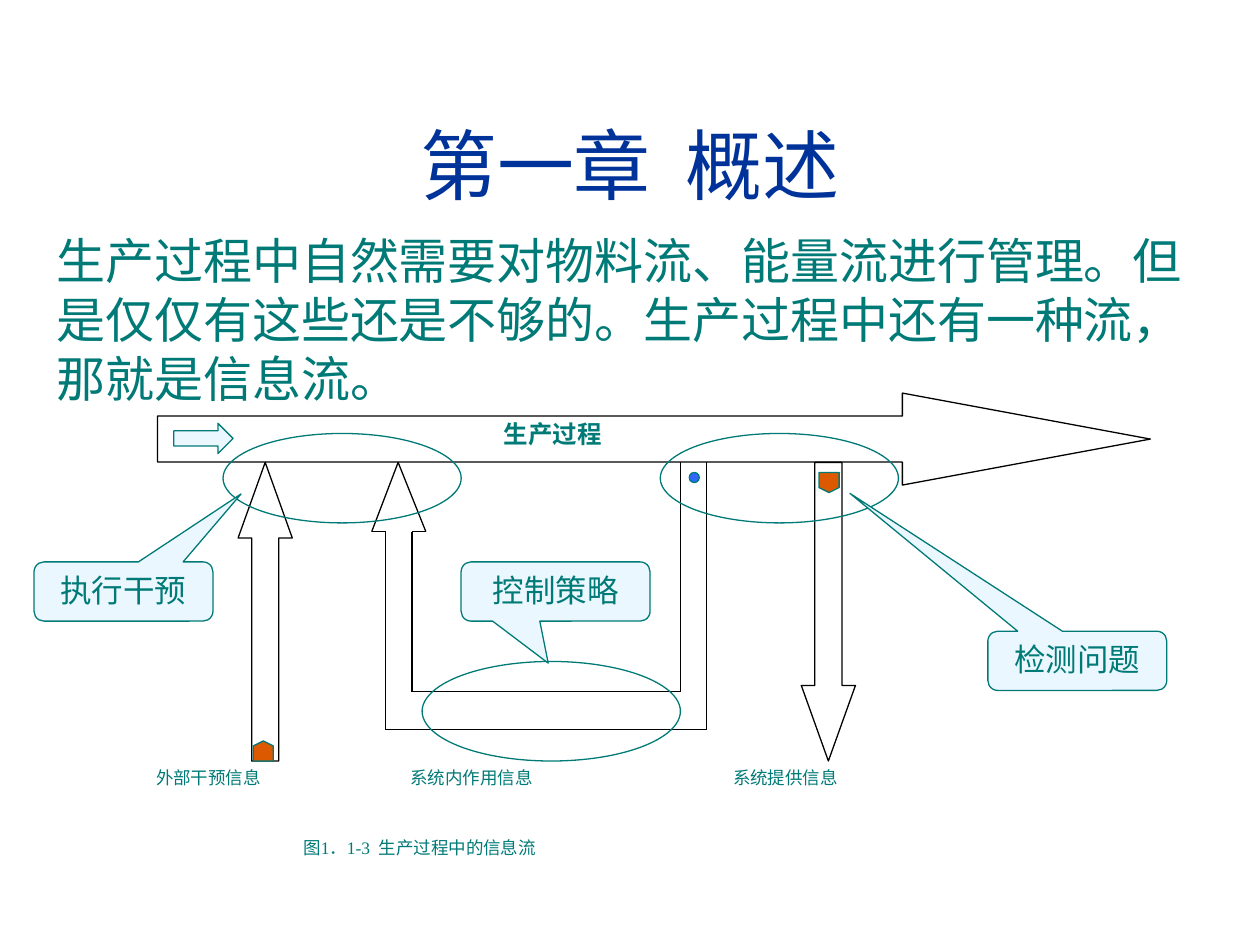
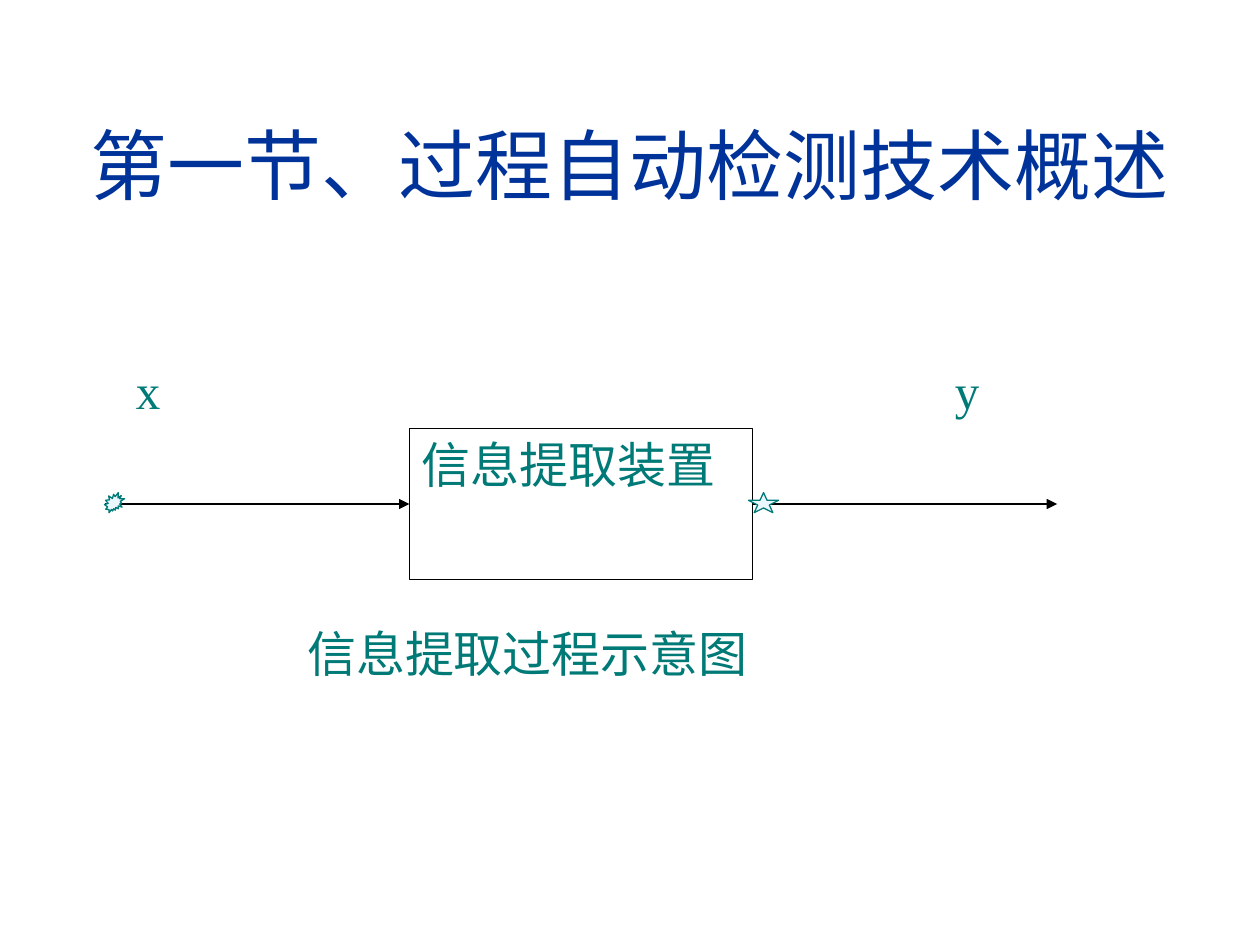
from dataclasses import dataclass
from itertools import pairwise

from lxml import etree
from pptx import Presentation
from pptx.dml.color import RGBColor
from pptx.enum import shapes, text
from pptx.oxml import ns
from pptx.util import Inches, Pt

KIND = shapes.MSO_SHAPE
ALIGN = text.PP_ALIGN
ANCHOR = text.MSO_ANCHOR


@dataclass(frozen=True)
class Theme:
    navy: str = "003399"
    teal: str = "007A77"
    pale: str = "EBF7FF"
    orange: str = "DC5900"
    blue: str = "3366FF"
    black: str = "000000"
    white: str = "FFFFFF"
    heading_font: str = "Arial"
    diagram_font: str = "Times New Roman"
    title: int = 44
    body: int = 28
    callout: int = 18
    flow: int = 14
    label: int = 10
    line: float = 0.75


THEME = Theme()


# Text
def write(shape, words, size, font=THEME.diagram_font, color=THEME.teal,
          align=ALIGN.JUSTIFY, anchor=ANCHOR.TOP, bold=False):
    frame = shape.text_frame
    frame_format = {
        "word_wrap": True, "vertical_anchor": anchor,
        "margin_left": Inches(0.1), "margin_right": Inches(0.1),
        "margin_top": Inches(0.05), "margin_bottom": Inches(0.05),
    }
    for name, value in frame_format.items():
        setattr(frame, name, value)
    para = frame.paragraphs[0]
    para.alignment = align
    span = para.add_run()
    span.text = words
    for name, value in {"name": font, "size": Pt(size), "bold": bold}.items():
        setattr(span.font, name, value)
    span.font.color.rgb = RGBColor.from_string(color)


def add_text(page, place, words, size, **style):
    box = page.shapes.add_textbox(*map(Inches, place))
    write(box, words, size, **style)


def add_title(page, words):
    add_text(page, (0.33, 0.67, 9.34, 1.25), words, THEME.title,
             font=THEME.heading_font, color=THEME.navy,
             align=ALIGN.CENTER, anchor=ANCHOR.MIDDLE)


# Shapes and lines
def add_figure(page, kind, place, fill=None, line=THEME.teal,
               adjust=(), rotation=0):
    shape = page.shapes.add_shape(kind, *map(Inches, place))
    shape.shadow.inherit = False
    shape.rotation = rotation
    for index, value in enumerate(adjust):
        shape.adjustments[index] = value
    if fill:
        shape.fill.solid()
        shape.fill.fore_color.rgb = RGBColor.from_string(fill)
    else:
        shape.fill.background()
    shape.line.color.rgb = RGBColor.from_string(line)
    shape.line.width = Pt(THEME.line)
    return shape


def add_line(page, start, end, arrow=False):
    line = page.shapes.add_connector(
        shapes.MSO_CONNECTOR.STRAIGHT, *map(Inches, (*start, *end)))
    line.line.color.rgb = RGBColor.from_string(THEME.black)
    line.line.width = Pt(THEME.line)
    if arrow:
        etree.SubElement(line.line._get_or_add_ln(), ns.qn("a:tailEnd"),
                         type="triangle")
    etree.SubElement(line._element.spPr, ns.qn("a:effectLst"))
    return line


def add_callout(page, ellipse, place, pointer, words):
    add_figure(page, KIND.OVAL, ellipse)
    callout = add_figure(page, KIND.ROUNDED_RECTANGULAR_CALLOUT, place,
                         fill=THEME.pale, adjust=(*pointer, 0.167))
    write(callout, words, THEME.callout, font=THEME.heading_font,
          align=ALIGN.CENTER)


def add_feedback_loop(page, top):
    """Two parallel paths that run down, left and up into an arrowhead."""
    head_base = 4.22
    outer_left, inner_left, inner_right, outer_right = 3.06, 3.27, 5.4, 5.61
    outer_bottom, inner_bottom = 5.79, 5.49
    tip, wing_left, wing_right = 3.16, 2.95, 3.38
    inner = [(inner_right, top), (inner_right, inner_bottom),
             (inner_left, inner_bottom), (inner_left, head_base),
             (wing_right, head_base), (tip, top)]
    outer = [(outer_right, top), (outer_right, outer_bottom),
             (outer_left, outer_bottom), (outer_left, head_base),
             (wing_left, head_base), (tip, top)]
    for outline in (inner, outer):
        for start, end in pairwise(outline):
            add_line(page, start, end)


# Slide 1: information flow in production
def build_information_flow(page):
    add_title(page, "第一章  概述")
    add_text(page, (0.35, 1.78, 9.34, 1.5),
             "生产过程中自然需要对物料流、能量流进行管理。但是仅仅有这些还是不够的。"
             "生产过程中还有一种流，那就是信息流。",
             THEME.body, font=THEME.heading_font, align=ALIGN.LEFT)

    # Production arrow with the information arrows below it
    flow_bottom = 3.67
    add_figure(page, KIND.RIGHT_ARROW, (1.25, 3.12, 7.88, 0.73),
               line=THEME.black, adjust=(0.5, 2.696))
    for kind, left in ((KIND.UP_ARROW, 1.89), (KIND.DOWN_ARROW, 6.36)):
        add_figure(page, kind, (left, flow_bottom, 0.43, 2.37),
                   line=THEME.black, adjust=(0.5, 1.395))
    add_feedback_loop(page, flow_bottom)

    # Labels
    for left, top, width, words in (
            (1.14, 6.04, 1.71, "外部干预信息"),
            (3.16, 6.04, 1.92, "系统内作用信息"),
            (5.72, 6.04, 1.7, "系统提供信息"),
            (2.31, 6.59, 3.73, "图1．1-3  生产过程中的信息流")):
        add_text(page, (left, top, width, 0.55), words, THEME.label)
    add_text(page, (3.9, 3.28, 0.99, 0.35), "生产过程", THEME.flow, bold=True)

    # Moving markers
    add_figure(page, KIND.RIGHT_ARROW, (1.38, 3.36, 0.47, 0.24),
               fill=THEME.pale)
    for left, top, rotation in ((2.01, 5.88, 270), (6.5, 3.75, 90)):
        add_figure(page, KIND.PENTAGON, (left, top, 0.16, 0.16),
                   fill=THEME.orange, adjust=(0.25,), rotation=rotation)
    add_figure(page, KIND.FLOWCHART_CONNECTOR, (5.47, 3.75, 0.08, 0.08),
               fill=THEME.blue)

    # Circled stages with callouts
    for ellipse, place, pointer, words in (
            ((5.24, 3.44, 1.89, 0.71), (7.84, 5.01, 1.42, 0.47),
             (-1.271, -2.827), "检测问题"),
            ((1.77, 3.44, 1.89, 0.71), (0.27, 4.46, 1.42, 0.47),
             (0.657, -1.647), "执行干预"),
            ((3.35, 5.25, 2.05, 0.79), (3.66, 4.46, 1.5, 0.47),
             (-0.039, 1.21), "控制策略")):
        add_callout(page, ellipse, place, pointer, words)


# Slide 2: information extraction
def build_extraction(page):
    add_title(page, "第一节、过程自动检测技术概述")

    # Device with its input and output
    device = add_figure(page, KIND.RECTANGLE, (3.25, 3.4, 2.72, 1.2),
                        fill=THEME.white, line=THEME.black)
    write(device, "信息提取装置", THEME.body)
    signal_in = add_line(page, (0.83, 4), (3.25, 4), arrow=True)
    signal_in.end_connect(device, 1)
    signal_out = add_line(page, (5.97, 4), (8.39, 4), arrow=True)
    signal_out.begin_connect(device, 3)

    # Labels
    for place, words in (((0.98, 2.81, 0.6, 0.9), "x"),
                         ((7.48, 2.81, 0.6, 0.9), "y"),
                         ((2.34, 4.9, 4.54, 0.9), "信息提取过程示意图")):
        add_text(page, place, words, THEME.body)

    # Signal markers
    add_figure(page, KIND.EXPLOSION2, (0.83, 3.91, 0.16, 0.16),
               fill=THEME.pale)
    add_figure(page, KIND.STAR_5_POINT, (5.94, 3.91, 0.24, 0.16),
               fill=THEME.pale)


def main():
    deck = Presentation()
    deck.slide_width, deck.slide_height = Inches(10), Inches(7.5)
    blank = deck.slide_layouts[6]
    for build in (build_information_flow, build_extraction):
        build(deck.slides.add_slide(blank))
    deck.save("out.pptx")


if __name__ == "__main__":
    main()
